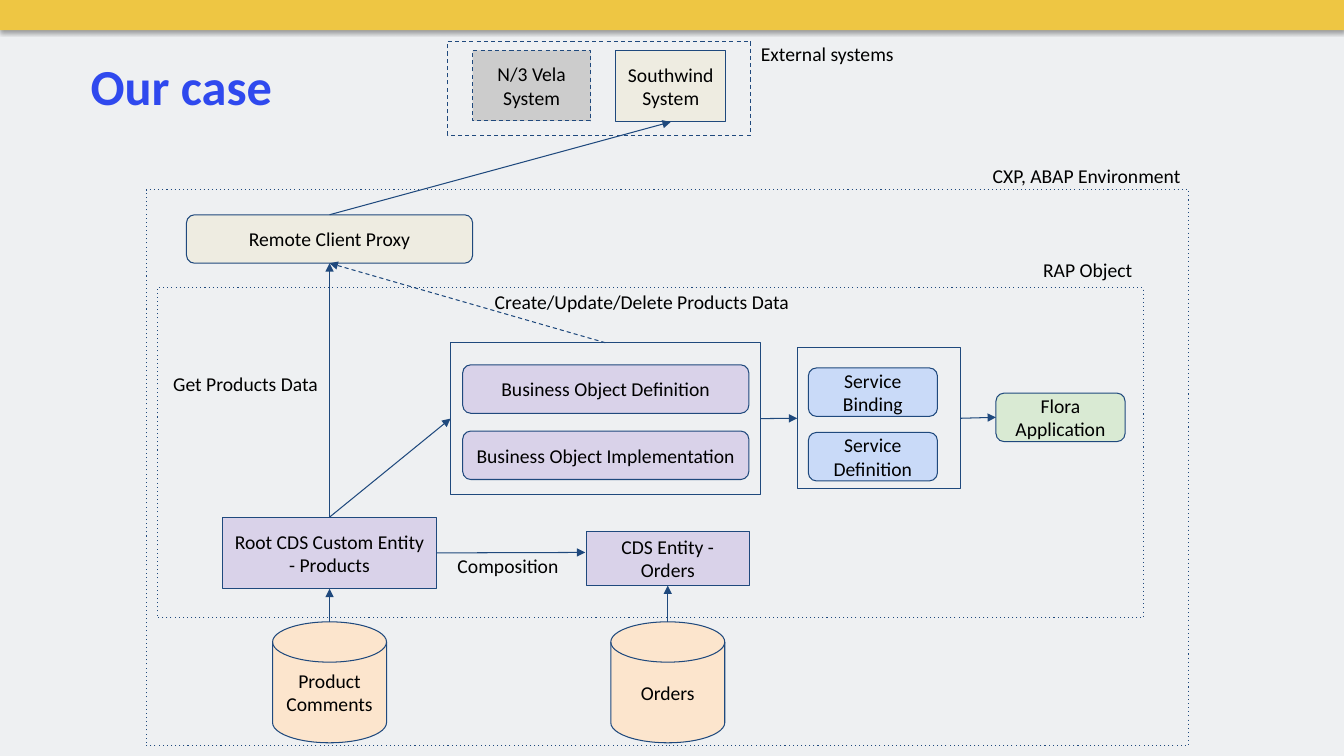
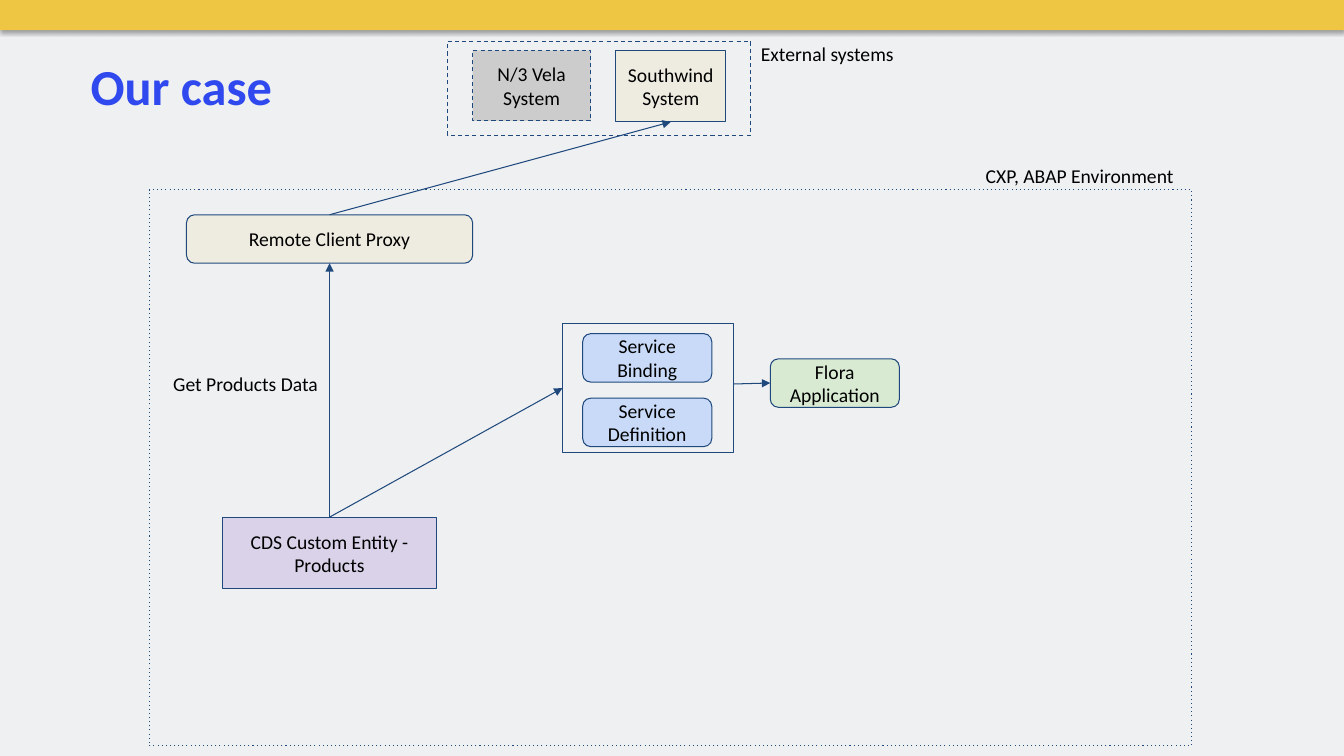
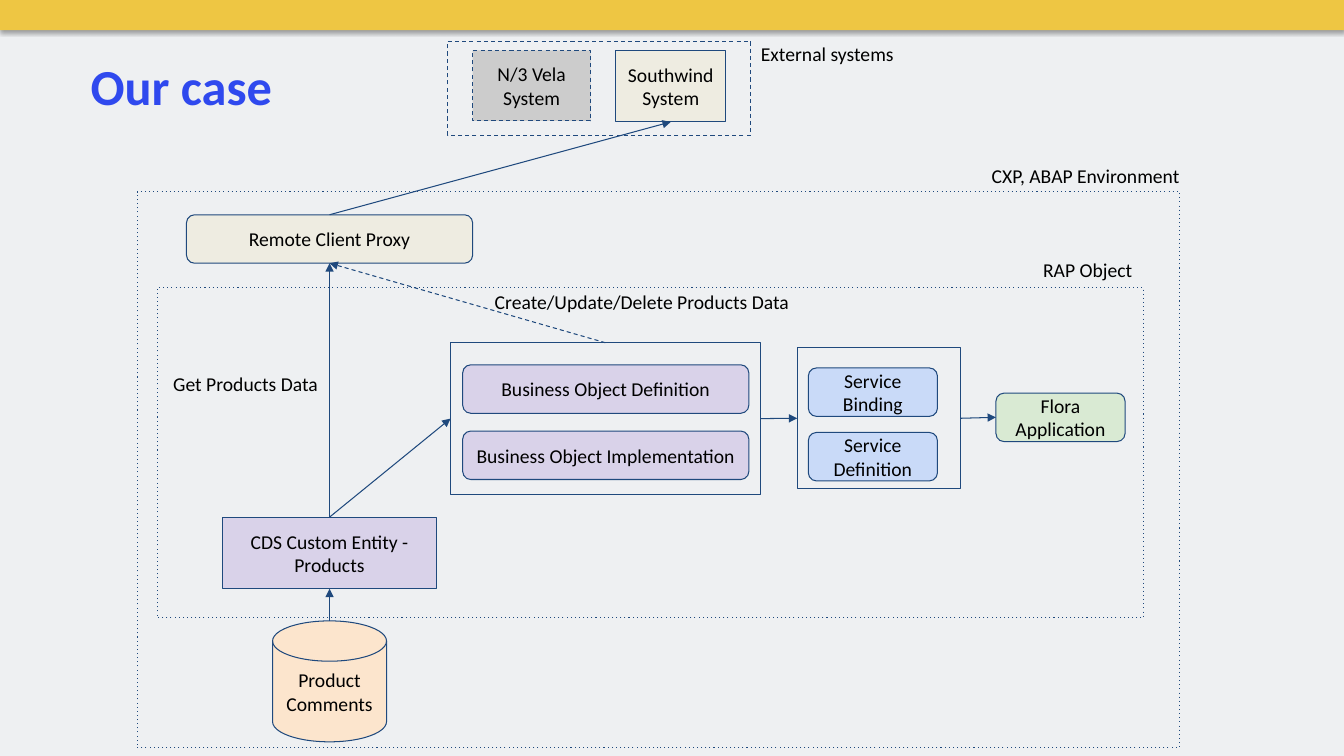
import pptx
import pptx.dml.color
import pptx.enum.dml
import pptx.enum.shapes
import pptx.enum.text
import pptx.oxml
import pptx.oxml.ns
import pptx.util

Pt = pptx.util.Pt
Kind = pptx.enum.shapes.MSO_SHAPE
RECT, PILL, DISK = Kind.RECTANGLE, Kind.FLOWCHART_ALTERNATE_PROCESS, Kind.FLOWCHART_MAGNETIC_DISK
TOP, LEFT, BOTTOM, RIGHT = range(4)
FONT = "Calibri"
INK, EDGE, BACK, BAND, TITLE = "000000", "1F497D", "EEF0F2", "EEC643", "2F49EE"
GREY, CREAM, LILAC, BLUE, GREEN, PEACH = "CCCCCC", "EEECE1", "D9D2E9", "C9DAF8", "D9EAD3", "FCE5CD"
PAD = 7.2
ROW = 34.6
PILL_W = 204.4
AXIS = 235.4


def tint(code):
    """Return the colour for a hex string."""
    return pptx.dml.color.RGBColor.from_string(code)


def find(item, tag):
    """Return the first part of an item's XML with the given tag."""
    return item.element.find(".//" + pptx.oxml.ns.qn(tag))


def snip(tag, inner="", attrs=""):
    """Make one drawing element."""
    space = pptx.oxml.ns.nsdecls("a")
    return pptx.oxml.parse_xml(f"<{tag} {space} {attrs}>{inner}</{tag}>")


def stroke(item, dash=None):
    """Give an item the thin blue line, dashed if asked."""
    item.line.color.rgb = tint(EDGE)
    item.line.width = Pt(0.75)
    if dash:
        item.line.dash_style = pptx.enum.dml.MSO_LINE.DASH
        find(item, "a:prstDash").set("val", dash)


def write(item, text, size=14, code=INK, bold=False, side=PAD, edge=PAD):
    """Write one run of text into an item."""
    frame = item.text_frame
    frame.word_wrap = True
    frame.margin_left = frame.margin_right = Pt(side)
    frame.margin_top = frame.margin_bottom = Pt(edge)
    run = frame.paragraphs[0].add_run()
    run.text = text
    run.font.name = FONT
    run.font.size = Pt(size)
    run.font.bold = bold
    run.font.color.rgb = tint(code)
    return frame


def box(slide, x, y, w, h, text="", fill=None, kind=RECT, dash=None):
    """Draw a lined shape, with centred text if there is any."""
    item = slide.shapes.add_shape(kind, Pt(x), Pt(y), Pt(w), Pt(h))
    item.shadow.inherit = False
    stroke(item, dash)
    if fill:
        item.fill.solid()
        item.fill.fore_color.rgb = tint(fill)
    else:
        item.fill.background()
    if text:
        frame = write(item, text)
        frame.vertical_anchor = pptx.enum.text.MSO_ANCHOR.MIDDLE
        frame.paragraphs[0].alignment = pptx.enum.text.PP_ALIGN.CENTER
    return item


def label(slide, x, y, w, text):
    """Place a plain line of text."""
    write(slide.shapes.add_textbox(Pt(x), Pt(y), Pt(w), Pt(25.2)), text)


def arrow(slide, start, end, dash=None):
    """Draw an arrow between two ends, each a point or a shape and its side."""
    shape = pptx.enum.shapes.MSO_CONNECTOR.STRAIGHT
    points = [(0, 0) if hasattr(a, "width") else (Pt(a), Pt(b)) for a, b in (start, end)]
    line = slide.shapes.add_connector(shape, *points[0], *points[1])
    for (spot, side), join in ((start, line.begin_connect), (end, line.end_connect)):
        if hasattr(spot, "width"):
            join(spot, side)
    stroke(line, dash)
    find(line, "a:ln").append(snip("a:tailEnd", attrs='type="triangle"'))
    find(line, "p:spPr").append(snip("a:effectLst"))


def base(deck):
    """Add a slide with its backdrop, band and title."""
    slide = deck.slides.add_slide(deck.slide_layouts[6])
    slide.background.fill.solid()
    slide.background.fill.fore_color.rgb = tint(BACK)
    band = box(slide, 0, 0, 960, 21.6, fill=BAND)
    band.line.fill.background()
    find(band, "a:effectLst").append(snip(
        "a:outerShdw",
        '<a:srgbClr val="000000"><a:alpha val="35000"/></a:srgbClr>',
        'blurRad="39370" dist="22860" dir="5400000" algn="t" rotWithShape="0"'))
    title = slide.shapes.add_textbox(Pt(57.6), Pt(36), Pt(864), Pt(51.1))
    frame = write(title, "Our case", 36, TITLE, True, edge=3.6)
    frame.auto_size = pptx.enum.text.MSO_AUTO_SIZE.SHAPE_TO_FIT_TEXT
    return slide


def outside(slide, x, y):
    """Draw the external systems and return the one in use."""
    box(slide, x, y, 216.7, 67, dash="dash")
    box(slide, x + 18, y + 6.5, 84.2, 50.4, "N/3 Vela System", GREY, dash="dash")
    label(slide, x + 216.7, y - 6.5, 116.6, "External systems")
    return box(slide, x + 120.2, y + 6.5, 78.5, 51.1, "Southwind System", CREAM)


def realm(slide, x, y, shift):
    """Draw the frame of the environment and its name."""
    box(slide, x, y, 744.5, 397.4, dash="dot")
    label(slide, x + shift, 110.2, 162, "CXP, ABAP Environment")


def access(slide, mid, y, name):
    """Draw the data path from entity to proxy to system."""
    system = outside(slide, 319.7, 29.5)
    proxy = box(slide, mid - PILL_W / 2, y, PILL_W, ROW, "Remote Client Proxy", CREAM, PILL)
    root = box(slide, mid - 76.4, y + 216, 152.8, 51.1, name, LILAC)
    arrow(slide, (proxy, TOP), (system, BOTTOM))
    arrow(slide, (root, TOP), (proxy, BOTTOM))
    label(slide, mid - 118.8, y + 105.1, 128.2, "Get Products Data")
    return proxy, root


def service(slide, x, y, w, h, left, top):
    """Draw the services in their frame and the application they feed."""
    frame = box(slide, x, y, w, h)
    for row, name in enumerate(("Binding", "Definition")):
        box(slide, x + left, y + top + row * 46.1, 92.2, ROW, "Service " + name, BLUE, PILL)
    app = box(slide, x + left + 134, y + top + 18, 92.2, ROW, "Flora Application", GREEN, PILL)
    tap = top + 36
    start = (frame, RIGHT) if abs(tap - h / 2) < 1 else (x + w, y + tap)
    arrow(slide, start, (app, LEFT))
    return frame


def model(slide, x, y, proxy, root):
    """Draw the business object with its links and services."""
    box(slide, x, y, 704.2, 236.2, dash="dot")
    label(slide, x + 625.7, y - 28.1, 116.6, "RAP Object")
    frame = box(slide, x + 209.5, y + 39.6, 221.2, 108.4)
    for row, name in enumerate(("Definition", "Implementation")):
        box(slide, x + 218.2, y + 55.4 + row * 47.3, PILL_W, ROW,
            "Business Object " + name, LILAC, PILL)
    wing = service(slide, x + 457.2, y + 43.2, 116.6, 100.8, 7.9, 14.4)
    arrow(slide, (frame, TOP), (proxy, BOTTOM), "dash")
    arrow(slide, (frame, RIGHT), (wing, LEFT))
    arrow(slide, (root, TOP), (frame, LEFT))
    label(slide, x + 234, y - 5, 225.4, "Create/Update/Delete Products Data")


def store(slide, mid, y, name, entity):
    """Draw a data store below the entity it feeds."""
    box(slide, mid - 40.7, y, 81.4, 86.4, name, PEACH, DISK)
    arrow(slide, (mid, y), (entity, BOTTOM))


def orders(slide, x, y, root):
    """Draw the orders entity, its store and its link to the root."""
    entity = box(slide, x, y, 116.6, 38.9, "CDS Entity - Orders", LILAC)
    store(slide, x + 58.3, y + 64.8, "Orders", entity)
    arrow(slide, (root, RIGHT), (x - 0.7, y + 15.2))
    label(slide, x - 99, y + 8.7, 92.2, "Composition")


def full(deck):
    """Build the case with a root entity and its orders."""
    slide = base(deck)
    realm(slide, 104.4, 135.4, 597.6)
    proxy, root = access(slide, AXIS, 153.4, "Root CDS Custom Entity - Products")
    model(slide, 112.3, 205.2, proxy, root)
    store(slide, AXIS, 444.2, "Product Comments", root)
    orders(slide, 418.7, 379.4, root)


def lean(deck):
    """Build the case with services only."""
    slide = base(deck)
    realm(slide, 106.6, 135.4, 590.4)
    root = access(slide, AXIS, 153.4, "CDS Custom Entity - Products")[1]
    wing = service(slide, 401.8, 231.1, 122.4, 92.2, 14.4, 7.2)
    arrow(slide, (root, TOP), (wing, LEFT))


def single(deck):
    """Build the case with one entity and its business object."""
    slide = base(deck)
    realm(slide, 97.9, 136.8, 603.4)
    proxy, root = access(slide, AXIS, 153.4, "CDS Custom Entity - Products")
    model(slide, 112.3, 205.2, proxy, root)
    store(slide, AXIS, 443.5, "Product Comments", root)


def main():
    """Build and save the deck."""
    deck = pptx.Presentation()
    deck.slide_width, deck.slide_height = Pt(960), Pt(540)
    for build in (full, lean, single):
        build(deck)
    deck.save("out.pptx")


if __name__ == "__main__":
    main()
